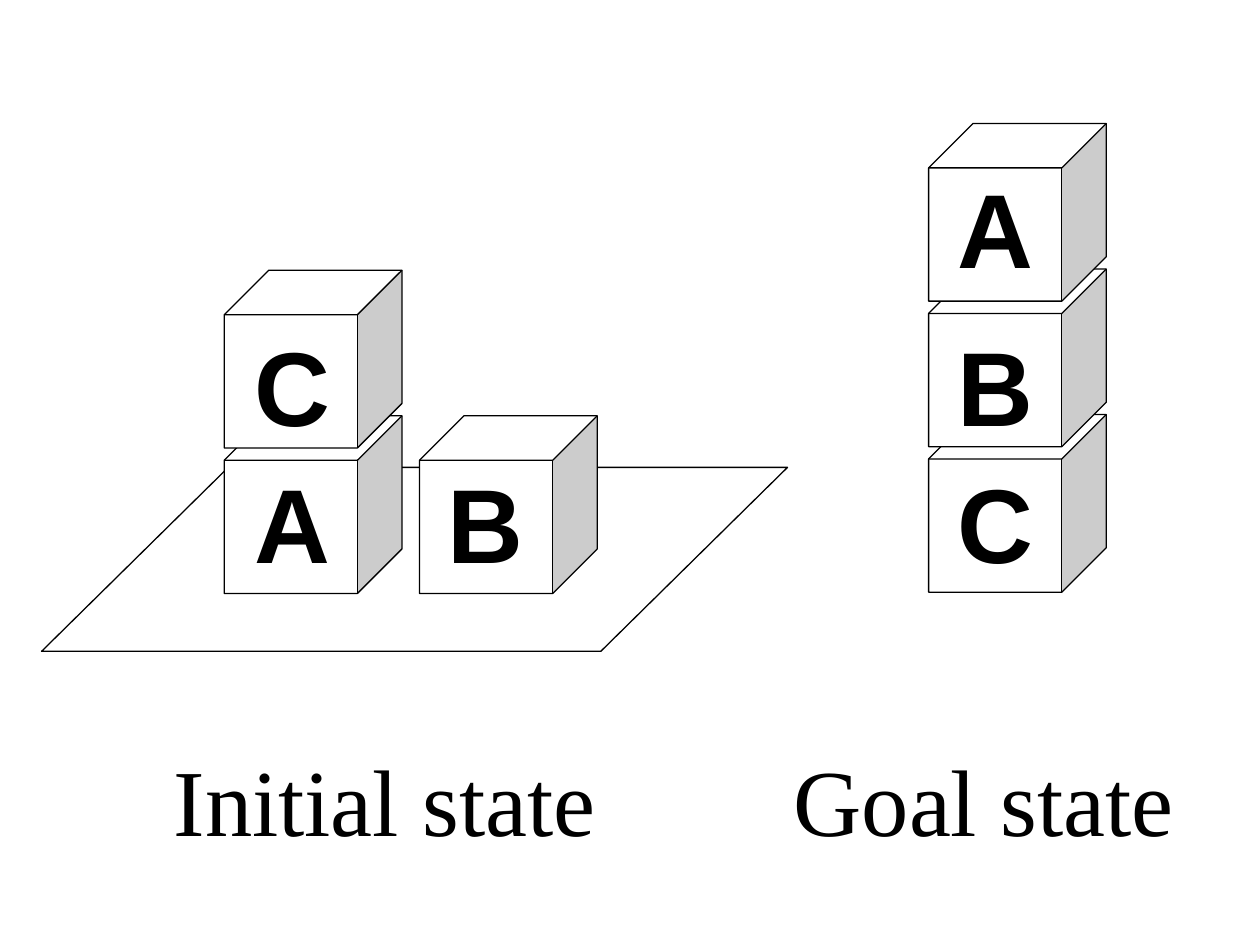
from dataclasses import dataclass

from pptx import Presentation
from pptx import util as u
from pptx.dml.color import RGBColor
from pptx.enum import shapes, text

WIDTH, HEIGHT = 10, 7.5
BLACK, WHITE = "000000", "FFFFFF"
CUBE_SIDE = 1.41
ROW_STEP = 1.155
LETTER_TOPS = (3.59, 2.5, 1.25)  # by row, from the bottom up
LETTER_FORMAT = {"name": "Arial", "size": u.Pt(60), "bold": True}
CAPTION_FORMAT = {"name": "Times New Roman", "size": u.Pt(54), "bold": False}
CAPTION_TOP = 5.84


@dataclass(frozen=True)
class Stack:
    """Blocks piled on one spot, listed from the bottom up."""
    left: float
    base_top: float
    letter_left: float
    blocks: str


@dataclass(frozen=True)
class Caption:
    left: float
    width: float
    words: str


STACKS = (
    Stack(1.78, 3.3, 1.92, "AC"),
    Stack(3.33, 3.3, 3.45, "B"),
    Stack(7.37, 3.29, 7.5, "CBA"),
)
CAPTIONS = (
    Caption(1.28, 3.55, "Initial state"),
    Caption(6.2, 3.22, "Goal state"),
)


def color(hex_value: str) -> RGBColor:
    return RGBColor.from_string(hex_value)


def add_solid(s, kind, left: float, top: float, width: float, height: float,
              adjustment: float) -> None:
    sp = s.shapes.add_shape(kind, *map(u.Inches, (left, top, width, height)))
    sp.adjustments[0] = adjustment
    sp.shadow.inherit = False
    sp.fill.solid()
    sp.fill.fore_color.rgb = color(WHITE)
    sp.line.color.rgb = color(BLACK)
    sp.line.width = u.Pt(0.75)


def add_label(s, words: str, left: float, top: float, width: float, height: float,
              formats: dict) -> None:
    tf = s.shapes.add_textbox(*map(u.Inches, (left, top, width, height))).text_frame
    tf.word_wrap = False
    tf.auto_size = text.MSO_AUTO_SIZE.SHAPE_TO_FIT_TEXT
    r = tf.paragraphs[0].add_run()
    r.text = words
    for name, value in formats.items():
        setattr(r.font, name, value)
    r.font.color.rgb = color(BLACK)


def add_stack(s, stack: Stack) -> None:
    for row, letter in enumerate(stack.blocks):
        add_solid(s, shapes.MSO_SHAPE.CUBE, stack.left,
                  stack.base_top - row * ROW_STEP, CUBE_SIDE, CUBE_SIDE, 0.25)
        add_label(s, letter, stack.letter_left, LETTER_TOPS[row], 0.8, 1.1, LETTER_FORMAT)


def main() -> None:
    prs = Presentation()
    prs.slide_width, prs.slide_height = u.Inches(WIDTH), u.Inches(HEIGHT)
    s = prs.slides.add_slide(prs.slide_layouts[6])

    add_solid(s, shapes.MSO_SHAPE.PARALLELOGRAM, 0.33, 3.71, 5.92, 1.46, 1.015)
    for stack in STACKS:
        add_stack(s, stack)
    for caption in CAPTIONS:
        add_label(s, caption.words, caption.left, CAPTION_TOP, caption.width, 1, CAPTION_FORMAT)

    prs.save("out.pptx")


if __name__ == "__main__":
    main()
